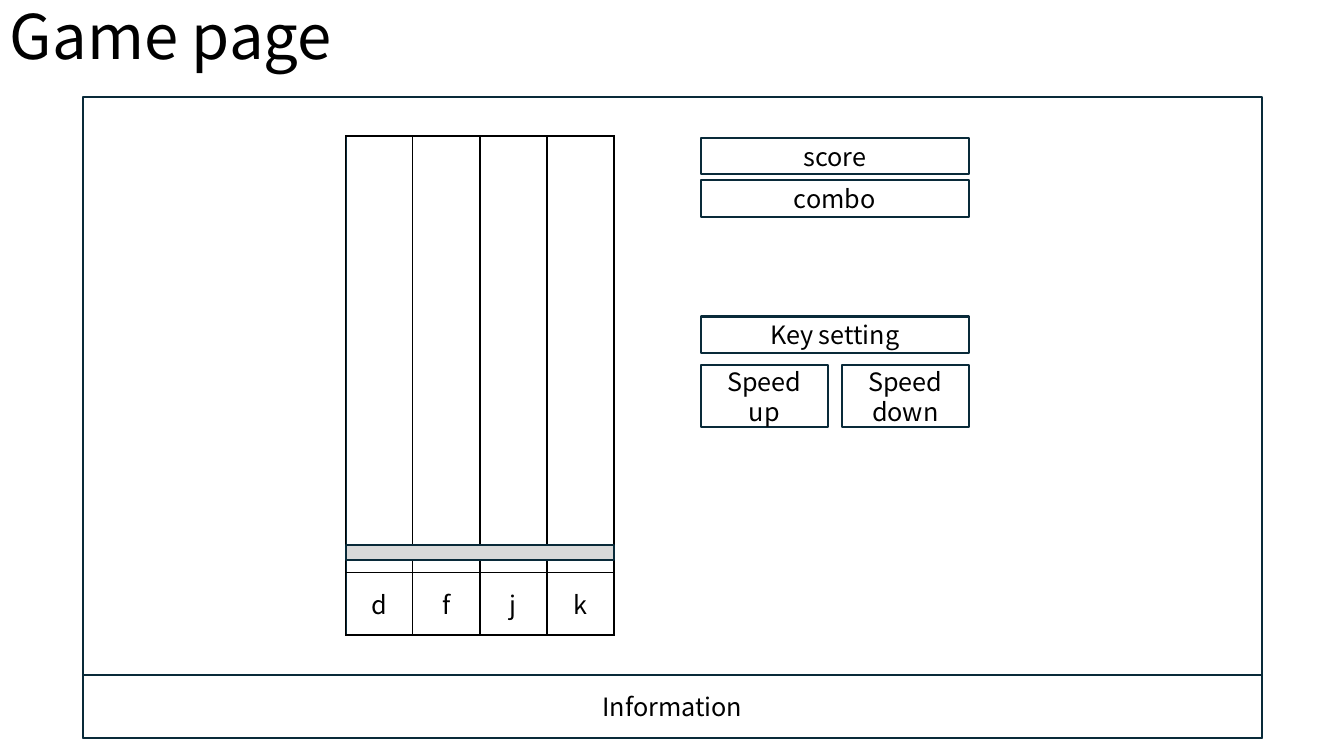
from lxml import etree
from pptx import Presentation
from pptx.dml.color import RGBColor
from pptx.enum.shapes import MSO_SHAPE
from pptx.enum.text import MSO_ANCHOR, PP_ALIGN
from pptx.oxml import parse_xml
from pptx.util import Inches, Pt

RECT = MSO_SHAPE.RECTANGLE
MIDDLE = MSO_ANCHOR.MIDDLE
CENTER = PP_ALIGN.CENTER
FONT = "Noto Sans CJK KR"
NS = "http://schemas.openxmlformats.org/drawingml/2006/main"
COLORS = {"text": "000000", "edge": "092A39", "grid": "000000", "bar": "D9D9D9"}


def write(frame, text, size=18, align=CENTER):
    para = frame.paragraphs[0]
    para.text = text
    para.alignment = align
    para.font.name = FONT
    para.font.size = Pt(size)
    para.font.color.rgb = RGBColor.from_string(COLORS["text"])
    return para


def add_box(left, top, width, height, text="", fill=None):
    box = slide.shapes.add_shape(
        RECT, Inches(left), Inches(top), Inches(width), Inches(height))
    box.shadow.inherit = False
    box.line.color.rgb = RGBColor.from_string(COLORS["edge"])
    box.line.width = Pt(1.5)
    if fill:
        box.fill.solid()
        box.fill.fore_color.rgb = RGBColor.from_string(COLORS[fill])
    else:
        box.fill.background()
    if text:
        box.text_frame.vertical_anchor = MIDDLE
        write(box.text_frame, text)


prs = Presentation()
prs.slide_width = Inches(13.33)
prs.slide_height = Inches(7.5)
slide = prs.slides.add_slide(prs.slide_layouts[6])

title = slide.shapes.add_textbox(0, 0, Inches(11.5), Inches(0.78))
title.text_frame.word_wrap = True
title.text_frame.vertical_anchor = MIDDLE
write(title.text_frame, "Game page", 44, PP_ALIGN.LEFT).line_spacing = 0.9

add_box(0.82, 0.96, 11.7, 6.36)
add_box(0.82, 6.7, 11.7, 0.62, "Information")

lane, wide = 3.43, 2.66
add_box(lane, 1.35, wide, 4.95)

for top, high, keys in [(5.68, 0.62, "dfjk"), (1.35, 4.33, "")]:
    frame = slide.shapes.add_table(
        1, 4, Inches(lane), Inches(top), Inches(wide), Inches(high))
    table = frame.table
    table.first_row = False
    table.horz_banding = False
    for col in range(4):
        cell = table.cell(0, col)
        cell.vertical_anchor = MIDDLE
        if keys:
            write(cell.text_frame, keys[col])
        props = cell._tc.get_or_add_tcPr()
        for side in ("lnL", "lnR", "lnT", "lnB"):
            props.append(parse_xml(
                f'<a:{side} xmlns:a="{NS}" w="{Pt(1)}"><a:solidFill>'
                f'<a:srgbClr val="{COLORS["grid"]}"/></a:solidFill></a:{side}>'))
        etree.SubElement(props, f"{{{NS}}}noFill")

add_box(lane, 5.41, wide, 0.15, fill="bar")

side = 6.95
for top, text in [(1.37, "score"), (1.79, "combo"), (3.14, "Key setting")]:
    add_box(side, top, wide, 0.36, text)
for num, text in enumerate(["Speed up", "Speed down"]):
    add_box(side + num * 1.4, 3.62, 1.26, 0.62, text)

prs.save("out.pptx")
